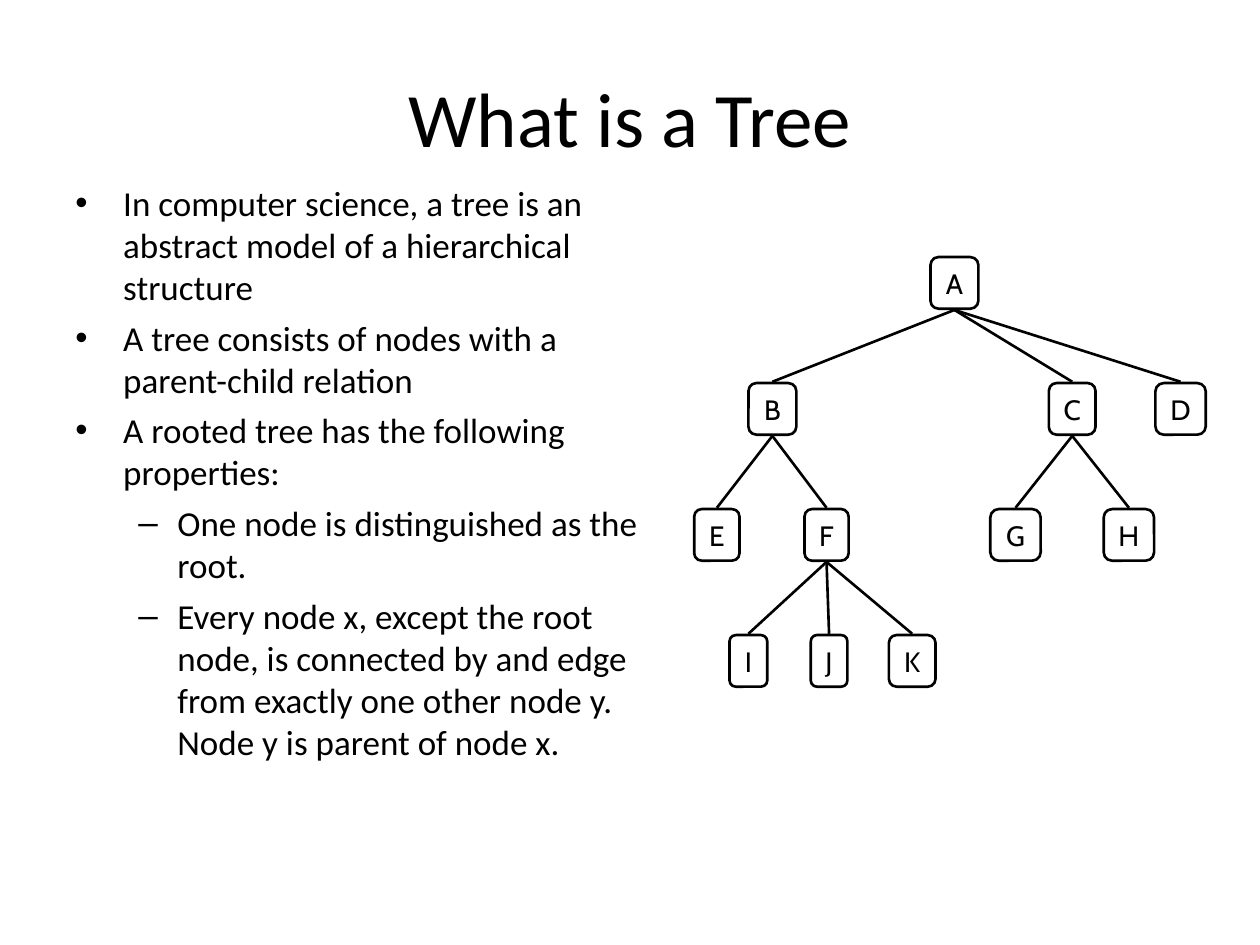
"""Build the "What is a Tree" slide: definitions beside a drawn tree."""
from lxml import etree
from pptx import Presentation
from pptx.dml.color import RGBColor
from pptx.enum.shapes import MSO_CONNECTOR, MSO_SHAPE
from pptx.enum.text import MSO_ANCHOR, PP_ALIGN
from pptx.oxml.ns import qn
from pptx.util import Inches, Pt

STRAIGHT = MSO_CONNECTOR.STRAIGHT
ROUNDED = MSO_SHAPE.ROUNDED_RECTANGLE
MIDDLE = MSO_ANCHOR.MIDDLE
CENTER = PP_ALIGN.CENTER

COLORS = {"ink": "000000", "node": "FFFFFF"}
TITLE = "What is a Tree"
POINTS = [
    (0, "In computer science, a tree is an abstract model of a hierarchical structure"),
    (0, "A tree consists of nodes with a parent-child relation"),
    (0, "A rooted tree has the following properties:"),
    (1, "One node is distinguished as the root."),
    (1, "Every node x, except the root node, is connected by and edge from exactly "
        "one other node y. Node y is parent of node x."),
]
BULLETS = [("•", 0.38, -0.38), ("–", 0.81, -0.31)]

# Each node holds its depth, centre and width.
NODES = {
    "A": (0, 7.575, 0.38),
    "B": (1, 6.13, 0.38), "C": (1, 8.51, 0.37), "D": (1, 9.37, 0.4),
    "E": (2, 5.69, 0.36), "F": (2, 6.56, 0.35),
    "G": (2, 8.06, 0.4), "H": (2, 8.96, 0.4),
    "I": (3, 5.94, 0.3), "J": (3, 6.58, 0.29), "K": (3, 7.24, 0.37),
}
CHILDREN = {"A": "BCD", "B": "EF", "C": "GH", "F": "IJK"}
TREE_TOP, LEVEL_STEP, NODE_HEIGHT, EDGE_GAP = 2.04, 1.0, 0.41, 0.01


def rgb(name):
    return RGBColor.from_string(COLORS[name])


def write(paragraph, text, size, font):
    run = paragraph.add_run()
    run.text = text
    run.font.size = Pt(size)
    run.font.name = font
    run.font.color.rgb = rgb("ink")


def set_bullet(paragraph, level):
    symbol, margin, indent = BULLETS[level]
    properties = paragraph._p.get_or_add_pPr()
    properties.set("marL", str(Inches(margin)))
    properties.set("indent", str(Inches(indent)))
    etree.SubElement(properties, qn("a:buFont")).set("typeface", "Arial")
    etree.SubElement(properties, qn("a:buChar")).set("char", symbol)


def outline(line):
    line.color.rgb = rgb("ink")
    line.width = Pt(1.5)


def level_top(depth):
    return TREE_TOP + depth * LEVEL_STEP


def add_title(slide):
    title = slide.shapes.title
    title.left, title.top = Inches(0.5), Inches(0.3)
    title.width, title.height = Inches(9), Inches(1.25)
    title.text_frame.vertical_anchor = MIDDLE
    paragraph = title.text_frame.paragraphs[0]
    paragraph.alignment = CENTER
    write(paragraph, TITLE, 44, "Calibri")


def add_points(slide):
    body = slide.shapes.add_textbox(Inches(0.5), Inches(1.39), Inches(4.74), Inches(5.31))
    frame = body.text_frame
    frame.word_wrap = True
    for index, (level, text) in enumerate(POINTS):
        paragraph = frame.add_paragraph() if index else frame.paragraphs[0]
        paragraph.level = level
        paragraph.space_before = Pt(5)
        set_bullet(paragraph, level)
        write(paragraph, text, 20, "Calibri")


def add_node(tree, label):
    depth, center, width = NODES[label]
    node = tree.shapes.add_shape(ROUNDED, Inches(center - width / 2), Inches(level_top(depth)),
                                 Inches(width), Inches(NODE_HEIGHT))
    node.shadow.inherit = False
    node.fill.solid()
    node.fill.fore_color.rgb = rgb("node")
    outline(node.line)
    frame = node.text_frame
    frame.word_wrap = False
    frame.vertical_anchor = MIDDLE
    paragraph = frame.paragraphs[0]
    paragraph.alignment = CENTER
    write(paragraph, label, 16, "Cabin")


def add_edge(tree, parent, child):
    parent_depth, parent_center, _ = NODES[parent]
    child_depth, child_center, _ = NODES[child]
    edge = tree.shapes.add_connector(
        STRAIGHT,
        Inches(parent_center), Inches(level_top(parent_depth) + NODE_HEIGHT + EDGE_GAP),
        Inches(child_center), Inches(level_top(child_depth) - EDGE_GAP))
    outline(edge.line)
    etree.SubElement(edge._element.spPr, qn("a:effectLst"))


def main():
    deck = Presentation()
    deck.slide_width, deck.slide_height = Inches(10), Inches(7.5)
    slide = deck.slides.add_slide(deck.slide_layouts[5])
    add_title(slide)
    add_points(slide)
    tree = slide.shapes.add_group_shape()
    for label in NODES:
        add_node(tree, label)
    for parent, children in CHILDREN.items():
        for child in children:
            add_edge(tree, parent, child)
    deck.save("out.pptx")


if __name__ == "__main__":
    main()
